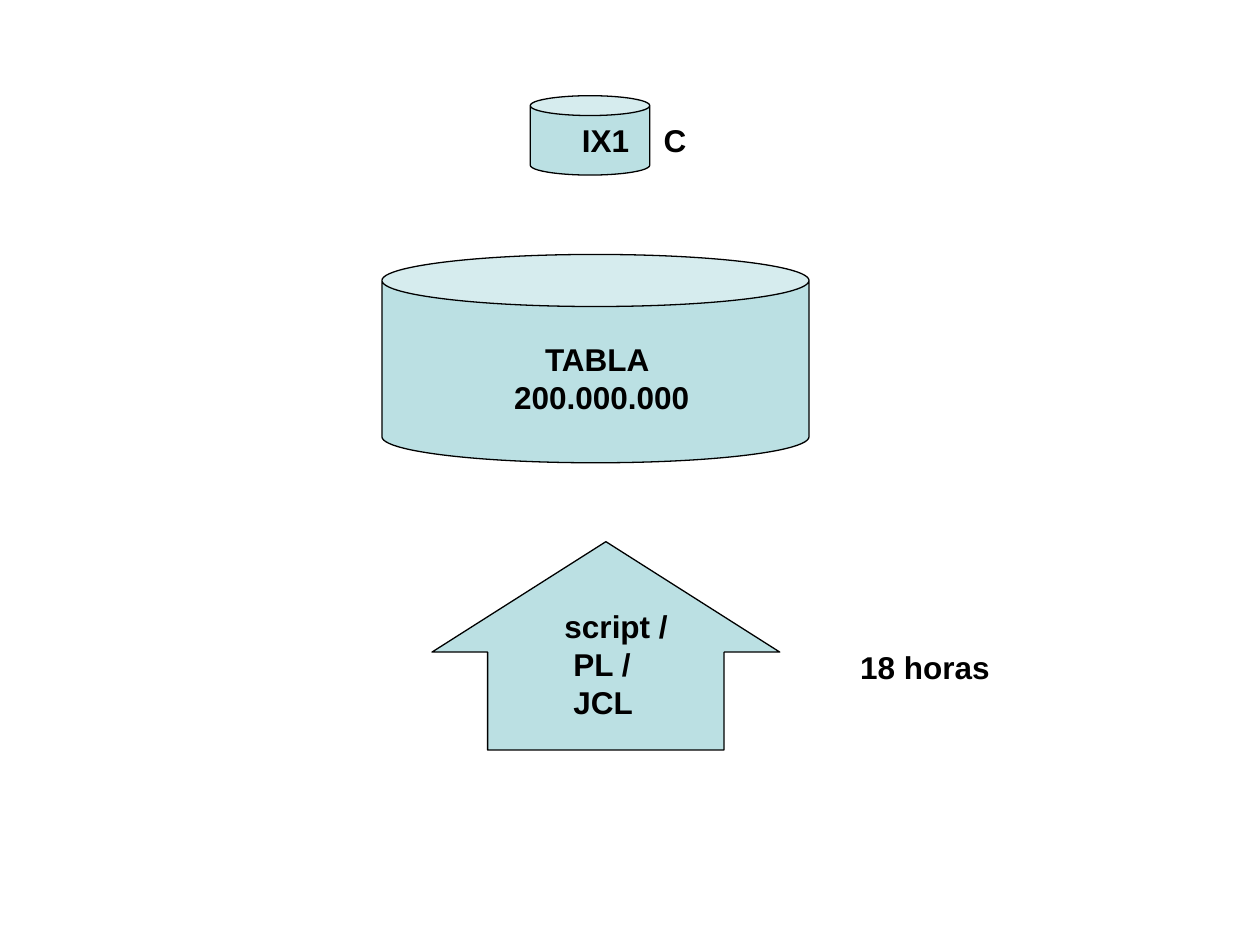
from lxml import etree
from pptx import Presentation
from pptx.dml.color import RGBColor
from pptx.enum.shapes import MSO_SHAPE
from pptx.enum.text import MSO_AUTO_SIZE, PP_ALIGN
from pptx.oxml.ns import qn
from pptx.util import Cm, Pt

CAN = MSO_SHAPE.CAN
ARROW = MSO_SHAPE.UP_ARROW
LEFT = PP_ALIGN.LEFT
CENTER = PP_ALIGN.CENTER
FIT = MSO_AUTO_SIZE.SHAPE_TO_FIT_TEXT
COLORS = {"fill": "BBE0E3", "ink": "000000"}
INDENT = Cm(0.18)
TAB = Cm(1.65)


def rgb(name):
    return RGBColor.from_string(COLORS[name])


def add_block(slide, kind, box, adjust):
    shape = slide.shapes.add_shape(kind, *map(Cm, box))
    for i, value in enumerate(adjust):
        shape.adjustments[i] = value
    shape.shadow.inherit = False
    shape.fill.solid()
    shape.fill.fore_color.rgb = rgb("fill")
    shape.line.color.rgb = rgb("ink")
    shape.line.width = Pt(0.75)


def set_tab(par):
    tabs = etree.SubElement(par._p.get_or_add_pPr(), qn("a:tabLst"))
    etree.SubElement(tabs, qn("a:tab"), pos=str(TAB), algn="l")


def add_label(slide, box, lines, align=LEFT):
    """Add bold lines; those after the first are slightly indented."""
    frame = slide.shapes.add_textbox(*map(Cm, box)).text_frame
    frame.word_wrap = False
    frame.auto_size = FIT
    for i, line in enumerate(lines):
        par = frame.add_paragraph() if i else frame.paragraphs[0]
        par.text = line
        par.alignment = align
        if i:
            par._p.get_or_add_pPr().set("marL", str(INDENT))
        if "\t" in line:
            set_tab(par)
        font = par.font
        font.name = "Arial"
        font.size = Pt(18)
        font.bold = True
        font.color.rgb = rgb("ink")


def main():
    deck = Presentation()
    deck.slide_width = Cm(25.4)
    deck.slide_height = Cm(19.05)
    slide = deck.slides.add_slide(deck.slide_layouts[6])

    add_block(slide, CAN, (7.7, 5.13, 8.61, 4.2), [0.25])
    add_block(slide, CAN, (10.69, 1.93, 2.41, 1.6), [0.25])
    add_block(slide, ARROW, (8.71, 10.92, 7.01, 4.2), [0.68, 0.53])

    add_label(slide, (9.93, 6.73, 4.22, 1.78), ["TABLA", "200.000.000"], CENTER)
    add_label(slide, (11.48, 2.31, 2.62, 1.02), ["IX1\tC"])
    add_label(slide, (11.13, 12.12, 2.77, 2.54), ["script /", "PL /", "JCL"])
    add_label(slide, (17.09, 12.93, 3.12, 1.02), ["18 horas"])
    deck.save("out.pptx")


if __name__ == "__main__":
    main()
